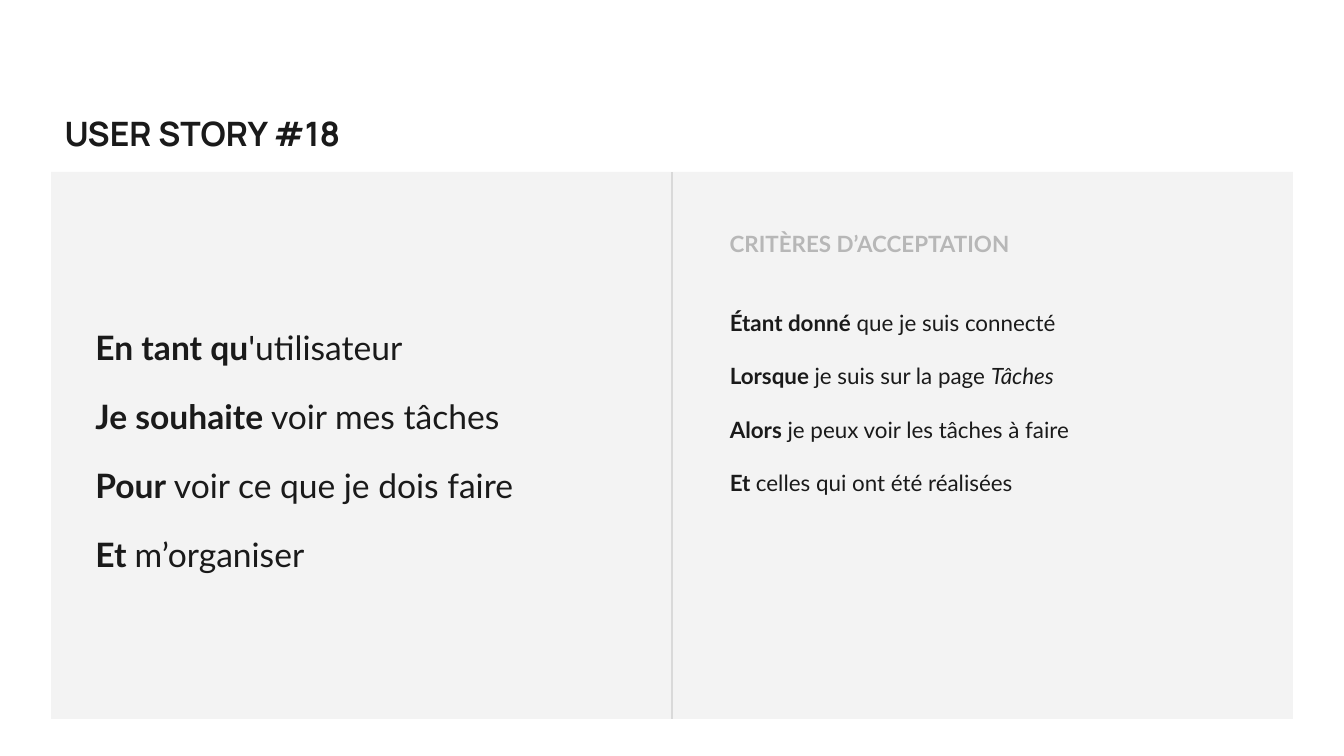
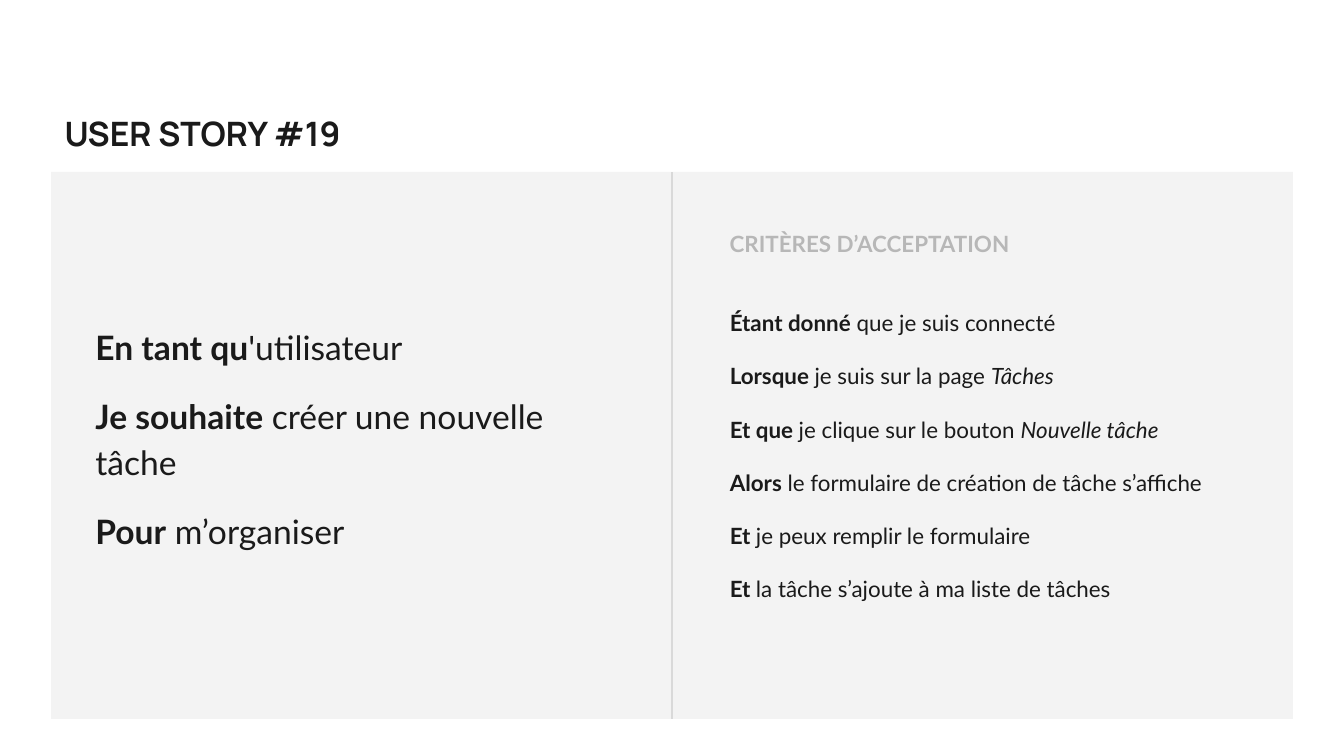
from lxml import etree
from pptx import Presentation
from pptx.dml.color import RGBColor
from pptx.enum.shapes import MSO_CONNECTOR, MSO_SHAPE
from pptx.enum.text import MSO_ANCHOR, MSO_AUTO_SIZE, PP_ALIGN
from pptx.oxml.ns import qn
from pptx.util import Inches, Pt

RECTANGLE = MSO_SHAPE.RECTANGLE
STRAIGHT = MSO_CONNECTOR.STRAIGHT
TOP = MSO_ANCHOR.TOP
LEFT = PP_ALIGN.LEFT
NO_AUTOFIT = MSO_AUTO_SIZE.NONE
TOP_SITE, BOTTOM_SITE = 0, 2
TWO_CONTENT_LAYOUT = 3

INK, PANEL_GREY, RULE_GREY, LABEL_GREY = "1A1A1A", "F3F3F3", "D9D9D9", "B7B7B7"
TITLE_FONT, TEXT_FONT = "Manrope", "Lato"
PANEL_BOX = (0.38, 1.28, 9.24, 4.07)
CRITERIA_LABEL = "CRITÈRES D’ACCEPTATION"

LOGGED_IN = ("Étant donné", " que je suis connecté")
ON_TASKS_PAGE = ("Lorsque ", "je suis sur la page ", "Tâches")
AS_USER = ("En tant qu", "'utilisateur")

STORIES = [
    {
        "title": "USER STORY #18",
        "story": [
            AS_USER,
            ("Je souhaite", " voir mes tâches"),
            ("Pour", " voir ce que je dois faire"),
            ("Et ", "m’organiser"),
        ],
        "criteria": [
            LOGGED_IN,
            ON_TASKS_PAGE,
            ("Alors", " je peux voir les tâches à faire"),
            ("Et ", "celles qui ont été réalisées"),
        ],
    },
    {
        "title": "USER STORY #19",
        "story": [
            AS_USER,
            ("Je souhaite", " créer une nouvelle tâche"),
            ("Pour", " m’organiser"),
        ],
        "criteria": [
            LOGGED_IN,
            ON_TASKS_PAGE,
            ("Et que ", "je clique sur le bouton ", "Nouvelle tâche"),
            ("Alors", " le formulaire de création de tâche s’affiche"),
            ("Et ", "je peux remplir le formulaire"),
            ("Et ", "la tâche s’ajoute à ma liste de tâches"),
        ],
    },
]


def color(value):
    return RGBColor.from_string(value)


def format_run(run, font, size, fill, bold, italic=False):
    run.font.name = font
    run.font.size = Pt(size)
    run.font.color.rgb = color(fill)
    run.font.bold = bold
    run.font.italic = italic


def prepare_frame(shape, box):
    shape.left, shape.top, shape.width, shape.height = map(Inches, box)
    frame = shape.text_frame
    frame.word_wrap = True
    frame.auto_size = NO_AUTOFIT
    frame.vertical_anchor = TOP
    frame.margin_left = frame.margin_right = Inches(0.1)
    frame.margin_top = frame.margin_bottom = Inches(0.1)
    return frame


def fill_heading(shape, box, text, font, size, fill):
    frame = prepare_frame(shape, box)
    frame.text = text
    paragraph = frame.paragraphs[0]
    paragraph.alignment = LEFT
    format_run(paragraph.runs[0], font, size, fill, True)


def fill_clauses(shape, box, clauses, size):
    frame = prepare_frame(shape, box)
    for index, clause in enumerate(clauses):
        paragraph = frame.add_paragraph() if index else frame.paragraphs[0]
        paragraph.alignment = LEFT
        paragraph.line_spacing = 1.15
        paragraph.space_before = Pt(12 if index else 0)
        paragraph.space_after = Pt(12 if index == len(clauses) - 1 else 0)
        properties = paragraph._p.get_or_add_pPr()
        properties.set("marL", "0")
        properties.set("indent", "0")
        etree.SubElement(properties, qn("a:buNone"))
        for position, text in enumerate(clause):
            run = paragraph.add_run()
            run.text = text
            format_run(run, TEXT_FONT, size, INK, position == 0, position == 2)


def add_panel(slide, box):
    panel = slide.shapes.add_shape(RECTANGLE, *map(Inches, box))
    panel.shadow.inherit = False
    panel.fill.solid()
    panel.fill.fore_color.rgb = color(PANEL_GREY)
    panel.line.fill.background()
    panel.element.getparent().insert(2, panel.element)

    divider = slide.shapes.add_connector(STRAIGHT, 0, 0, 0, 0)
    divider.begin_connect(panel, TOP_SITE)
    divider.end_connect(panel, BOTTOM_SITE)
    divider.line.color.rgb = color(RULE_GREY)
    divider.line.width = Pt(0.75)
    etree.SubElement(divider.element.spPr, qn("a:effectLst"))


def add_criteria(slide, placeholder, box, clauses):
    left, top, width, height = box
    label = slide.shapes.add_textbox(0, 0, 0, 0)
    fill_heading(label, (left, top, 3.28, 0.4), CRITERIA_LABEL, TEXT_FONT, 12, LABEL_GREY)
    fill_clauses(placeholder, (left, top + 0.56, width, height - 0.56), clauses, 12)


def add_story_slide(presentation, content, box):
    left, top, width, height = box
    slide = presentation.slides.add_slide(presentation.slide_layouts[TWO_CONTENT_LAYOUT])
    title, story, criteria = slide.placeholders
    add_panel(slide, box)
    fill_heading(title, (left, top - 0.54, 2.72, 0.54), content["title"], TITLE_FONT, 18, INK)
    fill_clauses(story, (left + 0.23, top + 1.01, 4.19, 2.05), content["story"], 18)
    criteria_box = (left + width / 2 + 0.33, top + 0.33, 3.98, height - 0.64)
    add_criteria(slide, criteria, criteria_box, content["criteria"])


def main():
    presentation = Presentation()
    presentation.slide_width = Inches(10)
    presentation.slide_height = Inches(10) * 9 // 16
    for content in STORIES:
        add_story_slide(presentation, content, PANEL_BOX)
    presentation.save("out.pptx")


if __name__ == "__main__":
    main()
